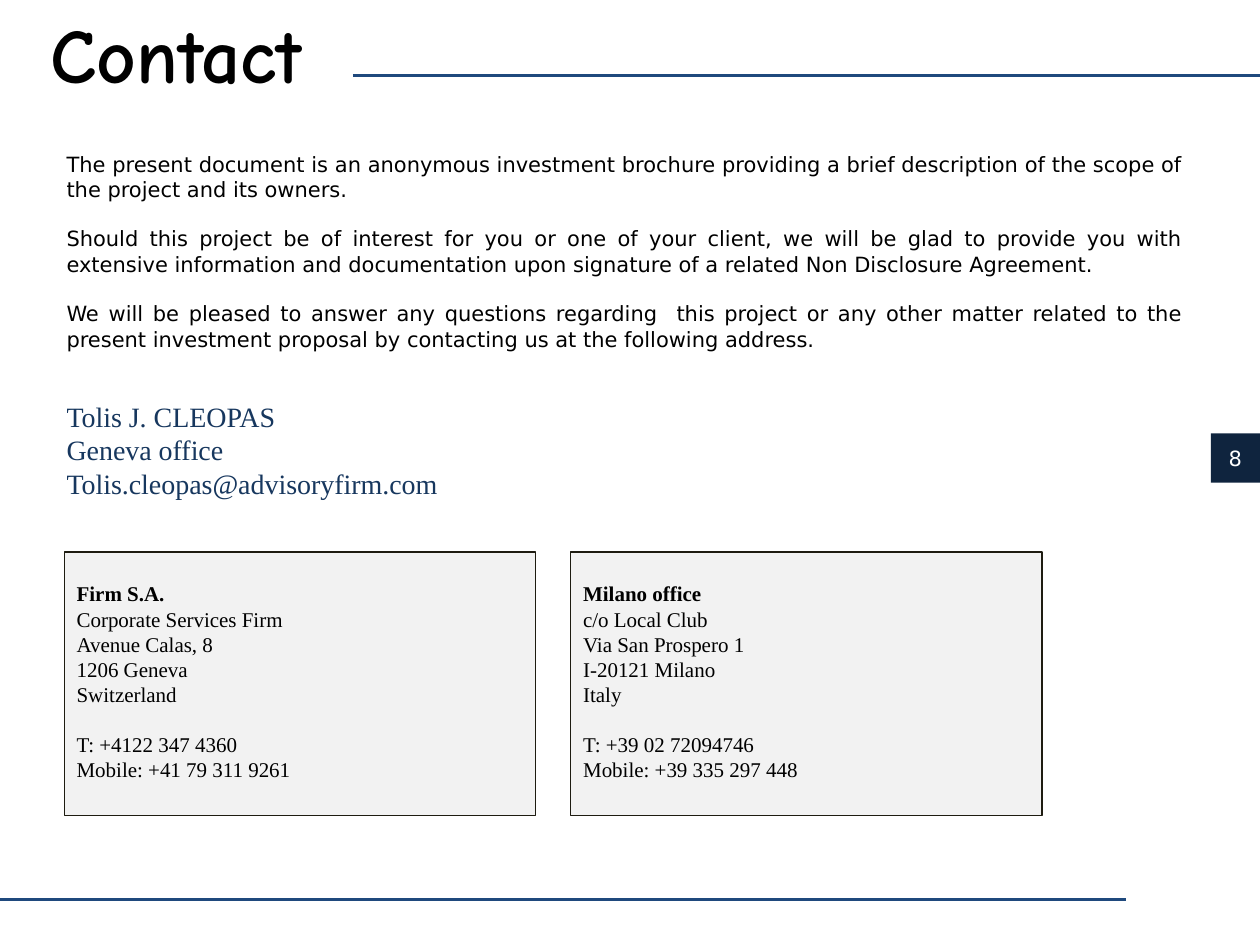
from lxml import etree
from pptx import Presentation
from pptx.dml.color import RGBColor
from pptx.enum import shapes, text
from pptx.oxml.ns import qn
from pptx.util import Inches, Pt

SANS, SERIF = "DejaVu Sans", "Times New Roman"
RULE_BLUE = "1F497D"

INTRO = [
    "The present document is an anonymous investment brochure providing a brief "
    "description of the scope of the project and its owners.",
    "Should this project be of interest for you or one of your client, we will be glad "
    "to provide you with extensive information and documentation upon signature of a "
    "related Non Disclosure Agreement.",
    "We will be pleased to answer any questions regarding  this project or any other "
    "matter related to the present investment proposal by contacting us at the "
    "following address.",
]
PERSON = ["Tolis J. CLEOPAS", "Geneva office", "Tolis.cleopas@advisoryfirm.com"]
OFFICES = [
    (["Firm S.A.", "Corporate Services Firm", "Avenue Calas, 8", "1206 Geneva",
      "Switzerland"],
     ["T: +4122 347 4360", "Mobile: +41 79 311 9261"]),
    (["Milano office", "c/o Local Club", "Via San Prospero 1", "I-20121 Milano", "Italy"],
     ["T: +39 02 72094746", "Mobile: +39 335 297 448"]),
]


def color(value):
    """Turn a hex string into a colour."""
    return RGBColor.from_string(value)


def add_para(frame, words, size=12, font=SANS, ink="000000", bold=False,
             align=text.PP_ALIGN.LEFT, before=0):
    """Write one formatted paragraph at the end of a text frame."""
    para = frame.paragraphs[0]
    if para.runs:
        para = frame.add_paragraph()
    para.alignment = align
    para.space_before = Pt(before)
    span = para.add_run()
    span.text = words
    span.font.size = Pt(size)
    span.font.name = font
    span.font.bold = bold
    span.font.color.rgb = color(ink)


def add_text_box(page, left, top, width, height):
    """Add a wrapping text box and return its frame."""
    frame = page.shapes.add_textbox(
        Inches(left), Inches(top), Inches(width), Inches(height)).text_frame
    frame.word_wrap = True
    return frame


def add_panel(page, left, top, width, height, fill, outline=None):
    """Add a filled rectangle and return its frame."""
    box = page.shapes.add_shape(
        shapes.MSO_SHAPE.RECTANGLE,
        Inches(left), Inches(top), Inches(width), Inches(height))
    box.shadow.inherit = False
    box.fill.solid()
    box.fill.fore_color.rgb = color(fill)
    if outline:
        box.line.color.rgb = color(outline)
        box.line.width = Pt(0.75)
    else:
        box.line.fill.background()
    box.text_frame.word_wrap = True
    return box.text_frame


def add_rule(page, start, end, height):
    """Draw a horizontal blue line."""
    rule = page.shapes.add_connector(
        shapes.MSO_CONNECTOR.STRAIGHT,
        Inches(start), Inches(height), Inches(end), Inches(height))
    rule.line.color.rgb = color(RULE_BLUE)
    rule.line.width = Pt(1.5)
    etree.SubElement(rule._element.spPr, qn("a:effectLst"))


def add_office(page, left, address, phones):
    """Add an address card: bold name, address, then phone numbers."""
    frame = add_panel(page, left, 4.38, 3.74, 2.09, "F2F2F2", "1E1C11")
    frame.vertical_anchor = text.MSO_ANCHOR.TOP
    frame.margin_top = Inches(0.23)
    for index, words in enumerate(address):
        add_para(frame, words, font=SERIF, bold=index == 0)
    for index, words in enumerate(phones):
        add_para(frame, words, font=SERIF, before=0 if index else 14)


def main():
    """Build the contact slide."""
    deck = Presentation()
    deck.slide_width, deck.slide_height = Inches(10), Inches(7.5)
    page = deck.slides.add_slide(deck.slide_layouts[6])

    number = add_panel(page, 9.61, 3.44, 0.39, 0.39, "0F243E")
    number.margin_left = number.margin_right = 0
    number.vertical_anchor = text.MSO_ANCHOR.MIDDLE
    add_para(number, "8", ink="FFFFFF", align=text.PP_ALIGN.CENTER)

    title = add_text_box(page, 0, 0, 2.8, 0.84)
    add_para(title, "Contact", size=44, font="Comic Neue", bold=True,
             align=text.PP_ALIGN.CENTER)

    intro = add_text_box(page, 0.43, 1.15, 9.06, 1.73)
    for index, words in enumerate(INTRO):
        add_para(intro, words, align=text.PP_ALIGN.JUSTIFY, before=14 if index else 0)

    person = add_text_box(page, 0.43, 3.12, 9.57, 0.94)
    for words in PERSON:
        add_para(person, words, size=16, font=SERIF, ink="17375E")

    for index, (address, phones) in enumerate(OFFICES):
        add_office(page, 0.51 + index * 4.02, address, phones)

    add_rule(page, 2.8, 10, 0.6)
    add_rule(page, 0, 8.94, 7.14)
    deck.save("out.pptx")


main()
